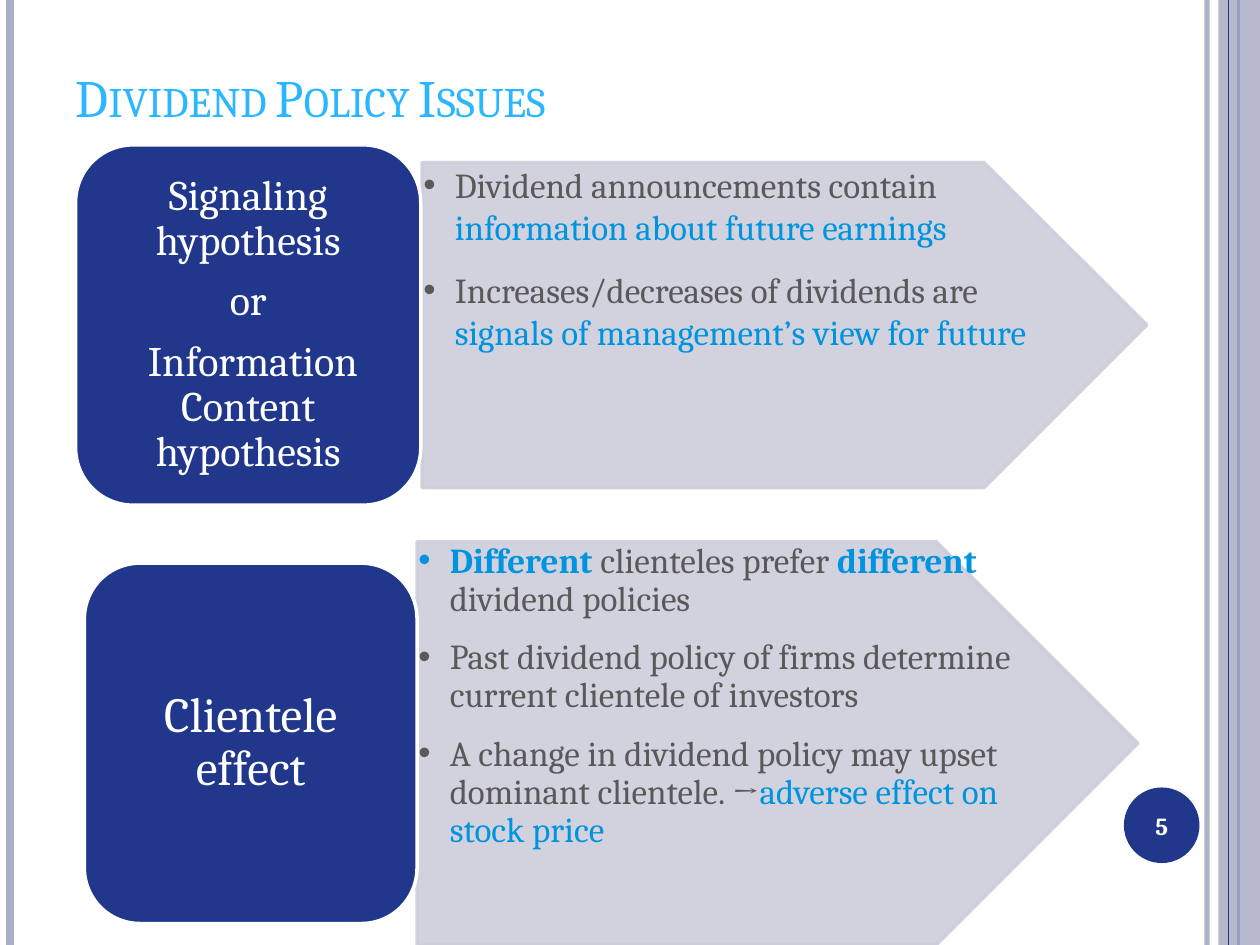
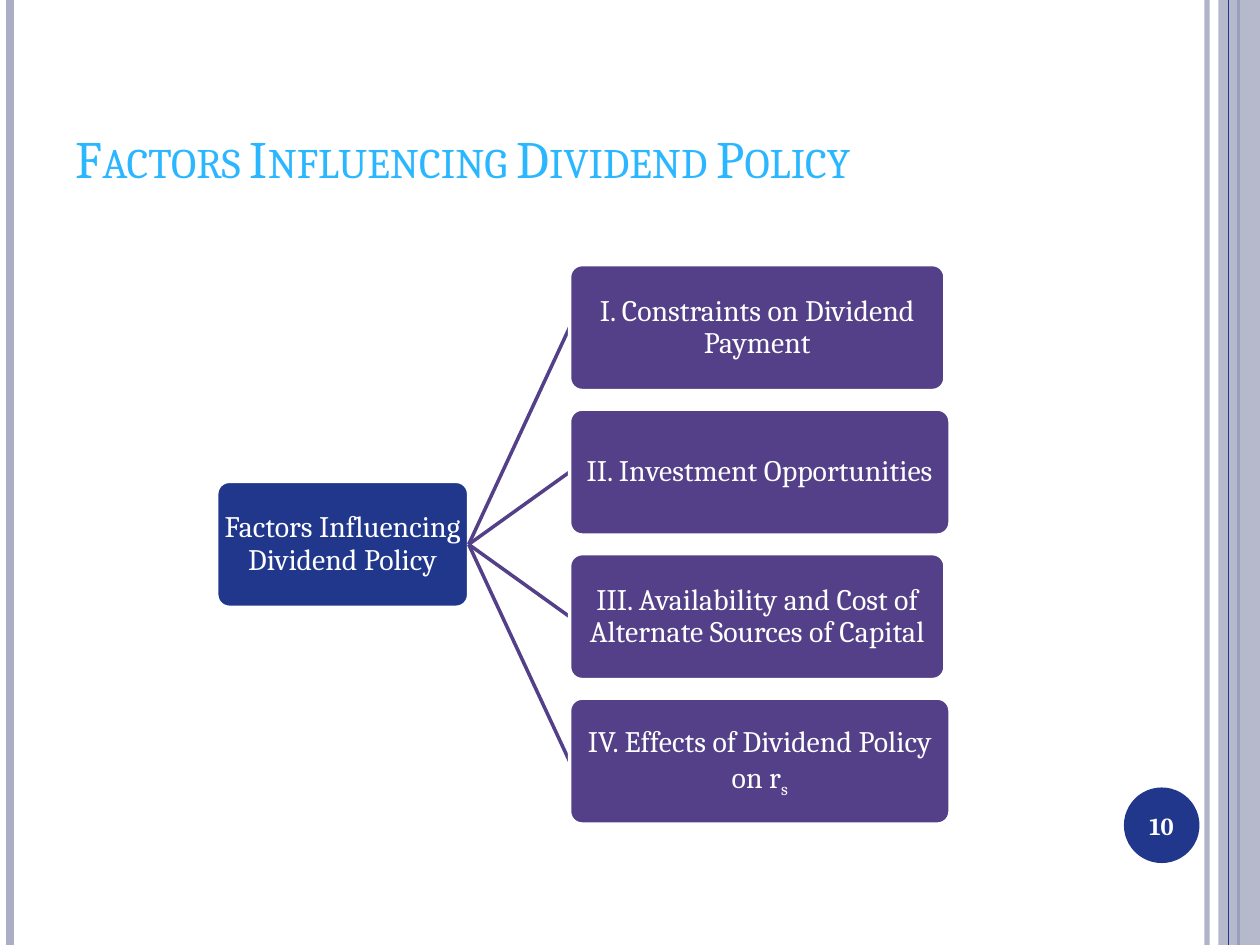
from lxml import etree
from pptx import Presentation
from pptx.dml.color import RGBColor
from pptx.enum.shapes import MSO_CONNECTOR, MSO_SHAPE
from pptx.enum.text import MSO_ANCHOR, MSO_AUTO_SIZE, PP_ALIGN
from pptx.oxml.ns import qn
from pptx.util import Inches, Pt

RECT, ROUND = MSO_SHAPE.RECTANGLE, MSO_SHAPE.ROUNDED_RECTANGLE
PLATE, OVAL = MSO_SHAPE.PENTAGON, MSO_SHAPE.OVAL
LINE = MSO_CONNECTOR.STRAIGHT
TOP, MIDDLE, BOTTOM = MSO_ANCHOR.TOP, MSO_ANCHOR.MIDDLE, MSO_ANCHOR.BOTTOM
LEFT, CENTER = PP_ALIGN.LEFT, PP_ALIGN.CENTER
FIXED = MSO_AUTO_SIZE.NONE

FONT = "Cambria"
NAVY, PURPLE, WHITE = "20378C", "534088", "FFFFFF"
BAND, PALE = "ACAEC5", "CDCEDA"
SKY, BLUE, GREY = "2AB7FF", "0093DF", "595959"
COLS, ROWS = 100, 75


def rgb(code):
    return RGBColor.from_string(code)


def fade(shape, share):
    """Make every colour of the shape's fill and line partly transparent."""
    for color in shape._element.spPr.iter(qn("a:srgbClr")):
        etree.SubElement(color, qn("a:alpha"), val=str(share * 1000))


class Deck:
    """Holds the style and the current slide; lengths are grid columns and rows."""

    def __init__(self):
        self.prs = Presentation()
        self.prs.slide_width, self.prs.slide_height = Inches(10), Inches(7.5)
        self.col = self.prs.slide_width / COLS
        self.row = self.prs.slide_height / ROWS

    def spot(self, x, y):
        return round(x * self.col), round(y * self.row)

    def page(self, title, number, top, high):
        self.slide = self.prs.slides.add_slide(self.prs.slide_layouts[5])
        self.rule(95.8, 3, BAND, 93)
        self.rule(0.8, 4.5, BAND)
        self.rule(98.3, 1.5, NAVY)
        fade(self.shape(RECT, (96.7, 0, 3.3, ROWS), BAND), 87)
        self.rule(97.5, 0.75, NAVY)
        disc = self.shape(OVAL, (89.2, 62.5, 6, 6), NAVY)
        self.frame(disc, MIDDLE)
        self.para(disc, [(number, WHITE, True)], 14)
        self.title(title, top, high)

    def title(self, text, top, high):
        head = self.slide.shapes.title
        head.left, head.top = self.spot(5, top)
        head.width, head.height = self.spot(81.7, high)
        frame = head.text_frame
        frame.auto_size, frame.vertical_anchor = FIXED, BOTTOM
        self.para(head, [(text, SKY, False)], 30, align=LEFT)
        frame.paragraphs[0].runs[0].font._element.set("cap", "small")

    def line(self, start, end, width, color):
        link = self.slide.shapes.add_connector(LINE, *self.spot(*start), *self.spot(*end))
        link.line.color.rgb = rgb(color)
        link.line.width = Pt(width)
        etree.SubElement(link._element.spPr, qn("a:effectLst"))
        return link

    def rule(self, x, width, color, share=100):
        fade(self.line((x, 0), (x, ROWS), width, color), share)

    def shape(self, kind, box, fill, edge=None):
        item = self.slide.shapes.add_shape(kind, *self.spot(*box[:2]), *self.spot(*box[2:]))
        item.shadow.inherit = False
        item.fill.solid()
        item.fill.fore_color.rgb = rgb(fill)
        if edge:
            item.line.color.rgb = rgb(edge)
            item.line.width = Pt(2)
        else:
            item.line.fill.background()
        return item

    def frame(self, shape, anchor, side=0.1, end=0.1):
        frame = shape.text_frame
        frame.word_wrap, frame.auto_size = True, FIXED
        frame.vertical_anchor = anchor
        frame.margin_left = frame.margin_right = round(side * self.col)
        frame.margin_top = frame.margin_bottom = round(end * self.row)

    def para(self, shape, runs, size, align=CENTER, pitch=1, after=0):
        """Add a paragraph; each run is (text, colour, bold)."""
        frame = shape.text_frame
        para = frame.paragraphs[0]
        if para.runs:
            para = frame.add_paragraph()
        para.alignment, para.line_spacing = align, pitch
        para.space_before, para.space_after = Pt(0), Pt(after)
        for text, color, bold in runs:
            run = para.add_run()
            run.text = text
            font = run.font
            font.name, font.size, font.bold = FONT, Pt(size), bold
            font.color.rgb = rgb(color)
        return para

    def label(self, box, fill, lines, size, round_by=None, pad=(0.1, 0.1)):
        card = self.shape(ROUND, box, fill, WHITE)
        if round_by:
            card.adjustments[0] = round_by
        self.frame(card, MIDDLE, *pad)
        for text in lines:
            self.para(card, [(text, WHITE, False)], size, pitch=0.9, after=0.35 * size)
        return card

    def plate(self, box, points, pitch):
        arrow = self.shape(PLATE, box, PALE, PALE)
        fade(arrow, 90)
        self.frame(arrow, TOP)
        for runs in points:
            para = self.para(arrow, runs, 20, LEFT, pitch, 12)
            props = para._p.get_or_add_pPr()
            props.set("marL", str(Inches(0.25)))
            props.set("indent", str(-Inches(0.25)))
            etree.SubElement(props, qn("a:buFont"), typeface="Arial")
            etree.SubElement(props, qn("a:buChar"), char="•")


def issues(deck):
    deck.page("Dividend Policy Issues", "5", 1.3, 9.4)
    deck.plate((33.5, 12.9, 57.5, 25.8), [
        [("Dividend announcements contain ", GREY, False),
         ("information about future earnings", BLUE, False)],
        [("Increases/decreases of dividends are ", GREY, False),
         ("signals of management’s view for future", BLUE, False)],
    ], 1)
    deck.label((6, 11.5, 27.4, 28.6), NAVY,
               ["Signaling hypothesis", "or", " Information Content hypothesis"],
               24, pad=(1, 0.5))
    deck.plate((33.1, 43, 57.2, 32), [
        [("Different", BLUE, True), (" clienteles prefer ", GREY, False),
         ("different ", BLUE, True), ("dividend policies", GREY, False)],
        [("Past dividend policy of firms determine current clientele of investors",
          GREY, False)],
        [("A change in dividend policy may upset dominant clientele. →", GREY, False),
         ("adverse effect on stock price", BLUE, False)],
    ], 0.9)
    deck.label((6.7, 44.7, 26.4, 28.6), NAVY, ["Clientele effect"], 28, pad=(1.2, 0.6))


def factors(deck):
    deck.page("Factors Influencing Dividend Policy", "10", 3, 12.5)
    high, step, top, left = 10, 11.47, 21, 45.2
    names = ["I. Constraints on Dividend Payment", "II. Investment Opportunities",
             "III. Availability and Cost of Alternate Sources of Capital",
             "IV. Effects of Dividend Policy on r"]
    root = top + step * (len(names) - 1) / 2
    deck.label((17.2, root, 20, high), NAVY, ["Factors Influencing Dividend Policy"], 17, 0.1)
    for i, name in enumerate(names):
        y = top + i * step
        deck.line((37.2, root + high / 2), (left, y + high / 2), 2, PURPLE)
        wide = 30.2 if i % 2 else 29.8
        card = deck.label((left, y, wide, high), PURPLE, [name], 17, 0.1)
    low = card.text_frame.paragraphs[0].add_run()
    low.text = "s"
    low.font.name, low.font.size = FONT, Pt(17)
    low.font.color.rgb = rgb(WHITE)
    low.font._element.set("baseline", "-25000")


def main():
    deck = Deck()
    issues(deck)
    factors(deck)
    deck.prs.save("out.pptx")


if __name__ == "__main__":
    main()
